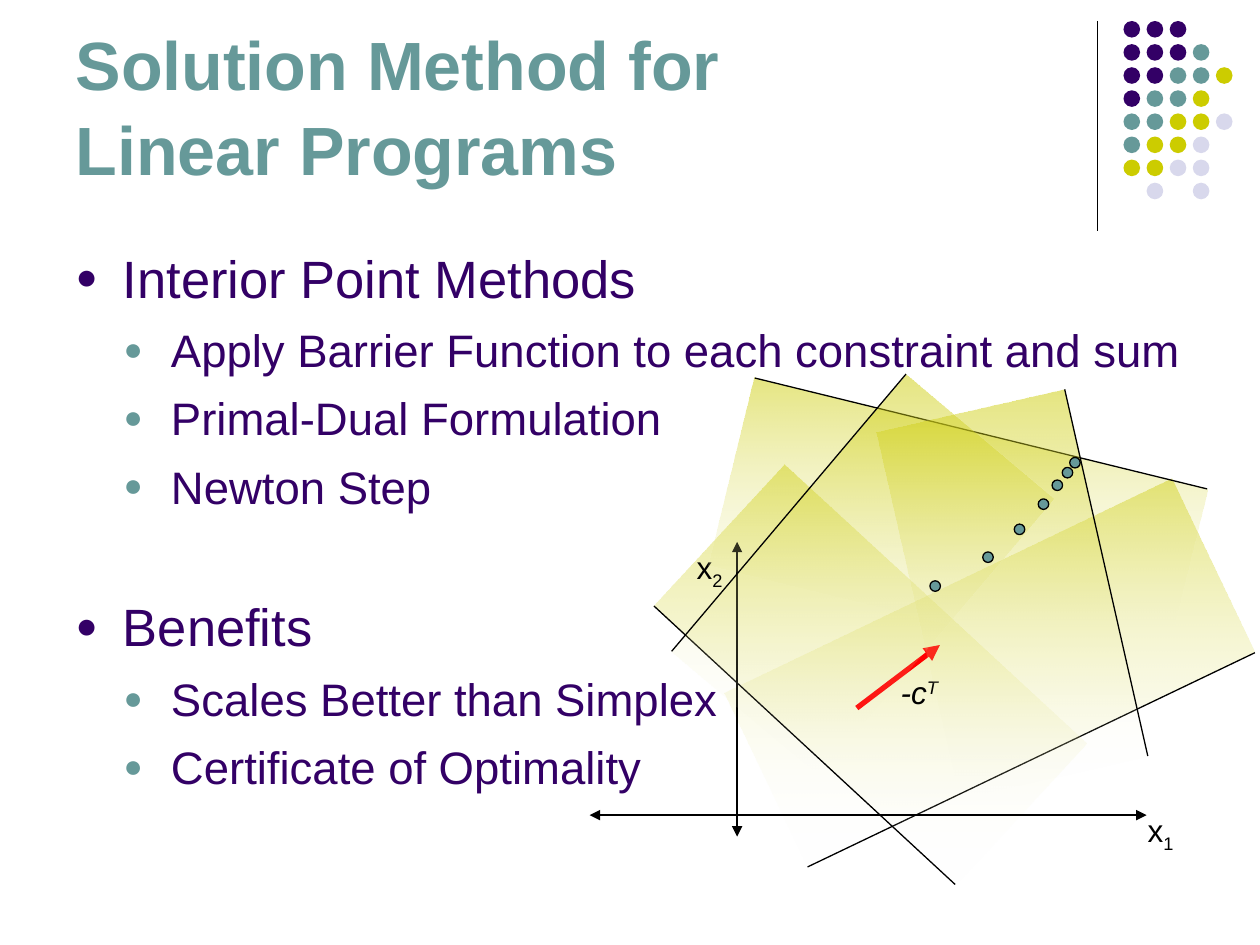
from dataclasses import dataclass
from math import atan2, degrees, hypot

from lxml.etree import SubElement
from pptx import Presentation
from pptx.dml.color import RGBColor
from pptx.enum.shapes import MSO_CONNECTOR, MSO_SHAPE
from pptx.enum.text import MSO_ANCHOR, MSO_AUTO_SIZE, PP_ALIGN
from pptx.oxml.ns import qn
from pptx.util import Pt


@dataclass(frozen=True)
class Theme:
    font: str = "Arial"
    purple: str = "330066"
    teal: str = "669999"
    lime: str = "CCCC00"
    lilac: str = "D8D8EC"
    black: str = "000000"
    white: str = "FEFEFE"
    red: str = "FF0000"
    title: float = 39
    heading: float = 30
    item: float = 26
    label: float = 18
    spacing: float = 1.04
    hairline: float = 0.75


def rgb(value):
    return RGBColor.from_string(value)


def add_text(p, text, size, color, font, bold=False, italic=False, baseline=0):
    """Add one formatted run to a paragraph."""
    r = p.add_run()
    r.text = text
    r.font.name, r.font.size = font, Pt(size)
    r.font.bold, r.font.italic = bold, italic
    r.font.color.rgb = rgb(color)
    if baseline:
        r.font._element.set("baseline", str(baseline * 1000))


def add_bullet(p, color, indent, hang):
    pPr = p._p.get_or_add_pPr()
    pPr.set("marL", str(Pt(indent)))
    pPr.set("indent", str(-Pt(hang)))
    SubElement(SubElement(pPr, qn("a:buClr")), qn("a:srgbClr"), val=color)
    SubElement(pPr, qn("a:buSzPct"), val="70000")
    SubElement(pPr, qn("a:buFont"), typeface="Arial")
    SubElement(pPr, qn("a:buChar"), char="●")


class SlideBuilder:
    def __init__(self, slide, theme):
        self.slide, self.theme = slide, theme

    def placeholder(self, index, x, y, w, h, anchor):
        """Move a template placeholder, bring it forward, return its text frame."""
        sp = self.slide.placeholders[index]
        sp.left, sp.top, sp.width, sp.height = Pt(x), Pt(y), Pt(w), Pt(h)
        sp._element.getparent().append(sp._element)
        tf = sp.text_frame
        tf.word_wrap, tf.auto_size = True, MSO_AUTO_SIZE.NONE
        tf.vertical_anchor = anchor
        return tf

    def title(self, lines, *box):
        t = self.theme
        p = self.placeholder(0, *box, MSO_ANCHOR.BOTTOM).paragraphs[0]
        p.alignment, p.line_spacing = PP_ALIGN.LEFT, t.spacing
        for i, line in enumerate(lines):
            if i:
                p.add_line_break()
            add_text(p, line, t.title, t.teal, t.font, bold=True)

    def outline(self, sections, *box):
        t = self.theme
        tf = self.placeholder(1, *box, MSO_ANCHOR.TOP)
        p = tf.paragraphs[0]
        for i, (heading, items) in enumerate(sections):
            if i:
                p = tf.add_paragraph()
                p.space_before = Pt(45)
            add_bullet(p, t.purple, 27, 27)
            p.line_spacing = t.spacing
            add_text(p, heading, t.heading, t.purple, t.font)
            for item in items:
                p = tf.add_paragraph()
                p.level = 1
                p.space_before, p.line_spacing = Pt(6.5), t.spacing
                add_bullet(p, t.teal, 54.5, 27)
                add_text(p, item, t.item, t.purple, t.font)

    def label(self, base, script, x, y, w, h, baseline, italic=False):
        t = self.theme
        sp = self.slide.shapes.add_textbox(Pt(x), Pt(y), Pt(w), Pt(h))
        tf = sp.text_frame
        tf.word_wrap, tf.auto_size = True, MSO_AUTO_SIZE.SHAPE_TO_FIT_TEXT
        p = tf.paragraphs[0]
        add_text(p, base, t.label, t.black, t.font, italic=italic)
        add_text(p, script, t.label, t.black, t.font, italic=italic, baseline=baseline)

    def line(self, x1, y1, x2, y2, color=None, width=None, ends=()):
        t = self.theme
        c = self.slide.shapes.add_connector(
            MSO_CONNECTOR.STRAIGHT, Pt(x1), Pt(y1), Pt(x2), Pt(y2))
        c.line.color.rgb = rgb(color or t.black)
        c.line.width = Pt(width or t.hairline)
        spPr = c._element.spPr
        for end in ends:
            SubElement(spPr.find(qn("a:ln")), qn(f"a:{end}"), type="triangle")
        SubElement(spPr, qn("a:effectLst"))

    def dot(self, x, y, size, color, outlined=False):
        sp = self.slide.shapes.add_shape(
            MSO_SHAPE.OVAL, Pt(x), Pt(y), Pt(size), Pt(size))
        sp.shadow.inherit = False
        sp.fill.solid()
        sp.fill.fore_color.rgb = rgb(color)
        if outlined:
            sp.line.color.rgb = rgb(self.theme.black)
            sp.line.width = Pt(self.theme.hairline)
        else:
            sp.line.fill.background()

    def constraint(self, x1, y1, x2, y2, depth=110.2):
        """Draw a boundary line and the shaded strip on its feasible side."""
        t = self.theme
        dx, dy = x2 - x1, y2 - y1
        length = hypot(dx, dy)
        cx = (x1 + x2) / 2 - dy / length * depth / 2
        cy = (y1 + y2) / 2 + dx / length * depth / 2
        sp = self.slide.shapes.add_shape(
            MSO_SHAPE.RECTANGLE, Pt(cx - length / 2), Pt(cy - depth / 2),
            Pt(length), Pt(depth))
        sp.rotation = degrees(atan2(dy, dx)) % 360
        sp.shadow.inherit = False
        sp.line.fill.background()
        sp.fill.gradient()
        sp.fill.gradient_angle = 270
        # The fade stays vertical on the slide whatever the rotation
        grad = sp._element.spPr.find(qn("a:gradFill"))
        grad.set("rotWithShape", "0")
        stops = zip(sp.fill.gradient_stops, ((t.lime, 50), (t.white, 0)))
        for stop, (color, _) in stops:
            stop.color.rgb = rgb(color)
        for clr, alpha in zip(grad.iter(qn("a:srgbClr")), (50, 0)):
            SubElement(clr, qn("a:alpha"), val=str(alpha * 1000))
        self.line(x1, y1, x2, y2)


def main():
    prs = Presentation()
    prs.slide_width, prs.slide_height = Pt(720), Pt(540)
    theme = Theme()
    b = SlideBuilder(prs.slides.add_slide(prs.slide_layouts[1]), theme)

    # Corner ornament: rule and dot grid
    b.line(627, 12, 627, 132)
    colors = {"P": theme.purple, "T": theme.teal, "Y": theme.lime, "L": theme.lilac}
    grid = ("PPP", "PPPT", "PPTTY", "PTTY", "TTYYL", "TYYL", "YYLL", ".L.L")
    for row, marks in enumerate(grid):
        for col, mark in enumerate(marks):
            if mark in colors:
                b.dot(642 + 13.2 * col, 12 + 13.2 * row, 9.5, colors[mark])

    # Constraints behind the text
    b.constraint(717.1, 373, 461.5, 495.4)
    b.constraint(545.8, 505.4, 373.7, 346.3)

    # Title and outline
    b.title(("Solution Method for", "Linear Programs"), 36, 9.4, 594, 102.2)
    b.outline((
        ("Interior Point Methods",
         ("Apply Barrier Function to each constraint and sum",
          "Primal-Dual Formulation", "Newton Step")),
        ("Benefits",
         ("Scales Better than Simplex", "Certificate of Optimality")),
    ), 36, 135.4, 648, 347)

    # Cost direction
    b.line(489.6, 404.6, 537.1, 368.6, theme.red, 3, ("tailEnd",))
    b.label("-c", "T", 507.6, 380.9, 48.2, 28.8, 30, italic=True)

    # Axes
    both = ("headEnd", "tailEnd")
    b.line(421.2, 309.6, 421.2, 478.1, ends=both)
    b.line(337, 465.8, 655.2, 465.8, ends=both)
    b.label("x", "1", 648.7, 460.1, 59.8, 31.7, -25)
    b.label("x", "2", 391, 309.6, 36, 31.7, -25)

    # Constraints in front
    b.constraint(431.3, 216, 689.8, 279.4)
    b.constraint(608.4, 222.5, 655.9, 432)
    b.constraint(383.8, 372.2, 517.7, 213.8)

    # Iterates of the interior path
    for x, y in ((531.4, 331.9), (561.6, 315.4), (579.6, 299.5), (593.3, 285.1),
                 (601.2, 274.3), (607, 267.1), (611.3, 261.4)):
        b.dot(x, y, 6, theme.teal, outlined=True)

    prs.save("out.pptx")


if __name__ == "__main__":
    main()
